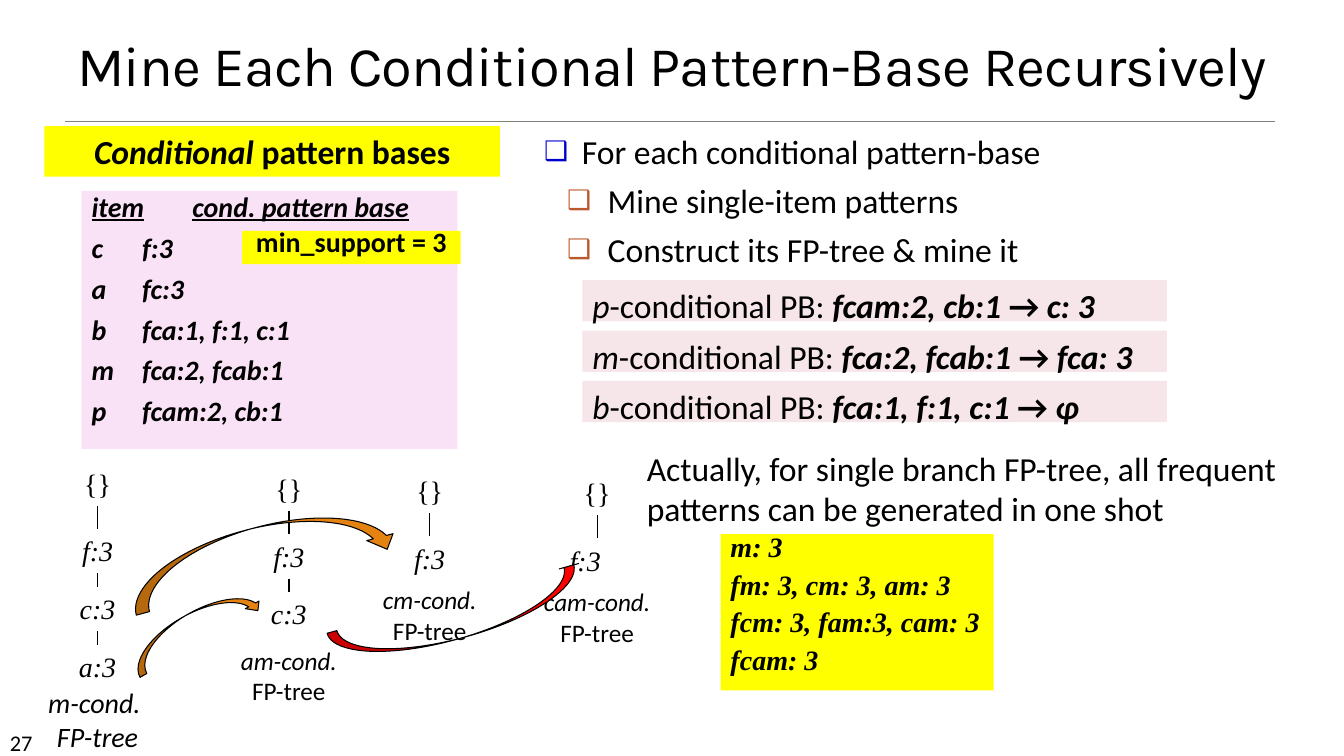
import pptx
import pptx.util
import pptx.dml.color
import pptx.enum.shapes
import pptx.enum.text
import pptx.oxml.ns
import lxml.etree

Cm, Pt = pptx.util.Cm, pptx.util.Pt
SHAPE = pptx.enum.shapes.MSO_SHAPE
ALIGN = pptx.enum.text.PP_ALIGN
ANCHOR = pptx.enum.text.MSO_ANCHOR
qn = pptx.oxml.ns.qn

COLORS = {
    "text": "000000", "rule": "808080", "yellow": "FFFF00", "pink": "FAE2F6",
    "rose": "F6E6EA", "orange": "E48312", "red": "FF0000",
    "bullet1": "0000CC", "bullet2": "BD582C",
}
SANS = {"name": "Calibri", "size": Pt(24)}
SANS_20 = {"name": "Calibri", "size": Pt(20)}
SERIF = {"name": "Times New Roman", "size": Pt(20)}
BOLD, ITALIC = {"bold": True}, {"italic": True}


def rgb(name):
    return pptx.dml.color.RGBColor.from_string(COLORS[name])


def set_all(obj, values):
    for key, value in values.items():
        setattr(obj, key, value)


def place(sp, box):
    lengths = [Cm(v) for v in box]
    set_all(sp, dict(zip(("left", "top", "width", "height"), lengths)))


def write(tf, paras, font, wrap=True, tabs=(), **layout):
    """Each paragraph is a string or a list of (text, font values) runs."""
    set_all(tf, {"word_wrap": wrap, "auto_size": pptx.enum.text.MSO_AUTO_SIZE.NONE})
    gap = layout.pop("space_before", Pt(0))
    for i, runs in enumerate(paras):
        p = tf.add_paragraph() if i else tf.paragraphs[0]
        set_all(p, {"alignment": ALIGN.LEFT, "space_before": gap if i else Pt(0), **layout})
        if tabs:
            tab_list = lxml.etree.SubElement(p._p.get_or_add_pPr(), qn("a:tabLst"))
            for pos in tabs:
                lxml.etree.SubElement(tab_list, qn("a:tab"), pos=str(Cm(pos)), algn="l")
        for text, extra in [(runs, {})] if isinstance(runs, str) else runs:
            r = p.add_run()
            r.text = text
            set_all(r.font, {**font, **extra})
            r.font.color.rgb = rgb("text")


def add_text(s, box, paras, font, **options):
    sp = s.shapes.add_textbox(*[Cm(v) for v in box])
    write(sp.text_frame, paras, font, **options)


def add_filled(s, kind, box, fill):
    sp = s.shapes.add_shape(kind, *[Cm(v) for v in box])
    sp.shadow.inherit = False
    sp.fill.solid()
    sp.fill.fore_color.rgb = rgb(fill)
    sp.line.fill.background()
    return sp


def add_panel(s, box, fill, paras, font, **options):
    tf = add_filled(s, SHAPE.RECTANGLE, box, fill).text_frame
    tf.vertical_anchor = ANCHOR.TOP
    write(tf, paras, font, **options)


def add_line(s, x1, y1, x2, y2, color, width):
    ln = s.shapes.add_connector(
        pptx.enum.shapes.MSO_CONNECTOR.STRAIGHT, Cm(x1), Cm(y1), Cm(x2), Cm(y2))
    ln.line.color.rgb = rgb(color)
    ln.line.width = Pt(width)
    lxml.etree.SubElement(ln._element.spPr, qn("a:effectLst"))


def header(s, box):
    x, y, w, h = box
    sp = s.shapes.title
    place(sp, (x, y + 0.91, w, 1.7))
    sp.text_frame.vertical_anchor = ANCHOR.BOTTOM
    write(sp.text_frame, ["Mine Each Conditional Pattern-Base Recursively"],
          {"name": "Karla", "size": Pt(40)}, alignment=ALIGN.CENTER, line_spacing=0.9)
    sp.text_frame.paragraphs[0].runs[0]._r.get_or_add_rPr().set("spc", "-50")
    add_line(s, x + 1.65, y + h, x + w - 1.74, y + h, "rule", 0.5)


def steps(s, box):
    sp = s.placeholders[1]
    place(sp, box)
    tf = sp.text_frame
    tf.vertical_anchor = ANCHOR.TOP
    write(tf, ["For each conditional pattern-base", "Mine single-item patterns",
               "Construct its FP-tree & mine it"], SANS, space_before=Pt(6), line_spacing=1.0)
    # Indents and box bullets
    for p, level in zip(tf.paragraphs, (0, 1, 1)):
        p.level = level
        margin, hang = ((0.95, 0.95), (1.6, 1.02))[level]
        pPr = p._p.get_or_add_pPr()
        pPr.set("marL", str(Cm(margin)))
        pPr.set("indent", str(-Cm(hang)))
        color = lxml.etree.SubElement(pPr, qn("a:buClr"))
        lxml.etree.SubElement(color, qn("a:srgbClr"), val=COLORS[f"bullet{level + 1}"])
        lxml.etree.SubElement(pPr, qn("a:buSzPct"), val="80000")
        lxml.etree.SubElement(pPr, qn("a:buChar"), char="❑")


def pattern_bases(s, box):
    x, y, w, h = box
    add_panel(s, (x + 0.94, y + 1.63, 9.47, h - 1.63), "pink",
              [[("item\tcond. pattern base", {"underline": True})], "c\tf:3", "a\tfc:3",
               "b\tfca:1, f:1, c:1", "m\tfca:2, fcab:1", "p\tfcam:2, cb:1"],
              {**SANS_20, **BOLD, **ITALIC}, tabs=(1.27, 2.54),
              line_spacing=0.8, space_before=Pt(10))
    add_panel(s, (x, y, w, 1.27), "yellow",
              [[("Conditional ", ITALIC), ("pattern bases", {})]],
              {**SANS, **BOLD}, alignment=ALIGN.CENTER)
    add_panel(s, (x + 4.98, y + 2.64, 5.51, 0.84), "yellow", ["min_support = 3"],
              {**SANS_20, **BOLD}, alignment=ALIGN.CENTER, line_spacing=0.6)


def conditional_results(s, box):
    x, y, w, h = box
    rows = [("p", "fcam:2, cb:1 ", " c: 3"), ("m", "fca:2, fcab:1 ", " fca: 3"),
            ("b", "fca:1, f:1, c:1 ", " ɸ")]
    for i, (item, base, result) in enumerate(rows):
        strong = {**BOLD, **ITALIC}
        add_panel(s, (x, y + i * h / len(rows), w, 1.04), "rose",
                  [[(item, ITALIC), ("-conditional PB: ", {}), (base, strong),
                    ("→", BOLD), (result, strong)]], SANS)


def tree(s, box, nodes, caption, caption_top, shift=0):
    """FP-tree around the box's vertical centre line; shift moves its lowest node."""
    x, y, w, h = box
    mid, tops, node_h = x + w / 2, (0, 1.7, 3.15, 4.62), 1.12
    labels = ["{}"] + nodes
    for i, label in enumerate(labels):
        last = i == len(labels) - 1
        add_text(s, (x + (shift if last else 0), y + tops[i], w, node_h), [label],
                 {**SERIF, "italic": i > 0}, wrap=False, alignment=ALIGN.CENTER)
        if not last:
            add_line(s, mid, y + tops[i] + node_h, mid, y + tops[i + 1], "text", 1)
    add_text(s, (x, y + caption_top, w, h - caption_top), caption,
             {"name": "Calibri"}, wrap=False, alignment=ALIGN.CENTER)


def fp_trees(s, box):
    x, y, w, h = box
    items = ["f:3", "c:3", "a:3"]
    specs = [("m", 2.46, 0, 3, 5.52, 0), ("am", 7.28, 0.13, 2, 4.37, 0),
             ("cm", 10.83, 0.18, 1, 2.8, 0), ("cam", 15.05, 0.23, 1, 2.8, -0.3)]
    for name, mid, drop, count, caption_top, shift in specs:
        first = name == "m"
        font = {"size": Pt(20 if first else 18)}
        caption = [[(name + "-cond." + (" " if first else ""), {**font, **ITALIC})],
                   [("FP-tree", {**font, "italic": first})]]
        tree_w = 3.2 if not first else 2.46
        # The root tree's caption sits slightly right of its nodes
        tree(s, (x + mid - tree_w / 2, y + drop, tree_w, caption_top + 1.8),
             items[:count], caption, caption_top, shift)
    # Curved arrows between trees
    arrows = [(SHAPE.CURVED_DOWN_ARROW, (3.15, 1.65, 6.88, 1.37), 345.3, 0.25, "orange"),
              (SHAPE.CURVED_UP_ARROW, (8.26, 3.43, 6.58, 1.02), 344.5, 0, "red"),
              (SHAPE.CURVED_DOWN_ARROW, (3.1, 3.81, 3.61, 0.79), 330.5, 0.25, "orange")]
    for kind, (left, top, aw, ah), angle, head, fill in arrows:
        sp = add_filled(s, kind, (x + left, y + top, aw, ah), fill)
        sp.rotation = angle
        for i, value in enumerate((0.25, 0.5, head)):
            sp.adjustments[i] = value
        sp.line.color.rgb = rgb("text")
        sp.line.width = Pt(0.75)


def single_branch(s, box):
    x, y, w, h = box
    add_panel(s, (x + 2.11, y + 2.31, 6.88, h - 2.31), "yellow",
              ["m: 3", "fm: 3, cm: 3, am: 3", "fcm: 3, fam:3, cam: 3", "fcam: 3"],
              {**SERIF, **BOLD, **ITALIC}, line_spacing=0.7, space_before=Pt(10))
    add_text(s, (x, y, w, 2.41),
             ["Actually, for single branch FP-tree, all frequent patterns "
              "can be generated in one shot"], SANS)


def main():
    prs = pptx.Presentation()
    set_all(prs, {"slide_width": Cm(33.87), "slide_height": Cm(19.05)})
    s = prs.slides.add_slide(prs.slide_layouts[1])
    header(s, (0, 0, 33.87, 3.05))
    steps(s, (13.46, 3.18, 19.2, 3.73))
    pattern_bases(s, (1.12, 3.18, 11.48, 8.13))
    conditional_results(s, (14.68, 7.06, 14.73, 3.81))
    fp_trees(s, (0, 11.63, 16.7, 7.4))
    single_branch(s, (16.05, 11.15, 16.81, 6.25))
    # Slide number
    add_text(s, (0, 18.24, 2.97, 0.76), ["27"], {"name": "Calibri", "size": Pt(16)})
    prs.save("out.pptx")


if __name__ == "__main__":
    main()
